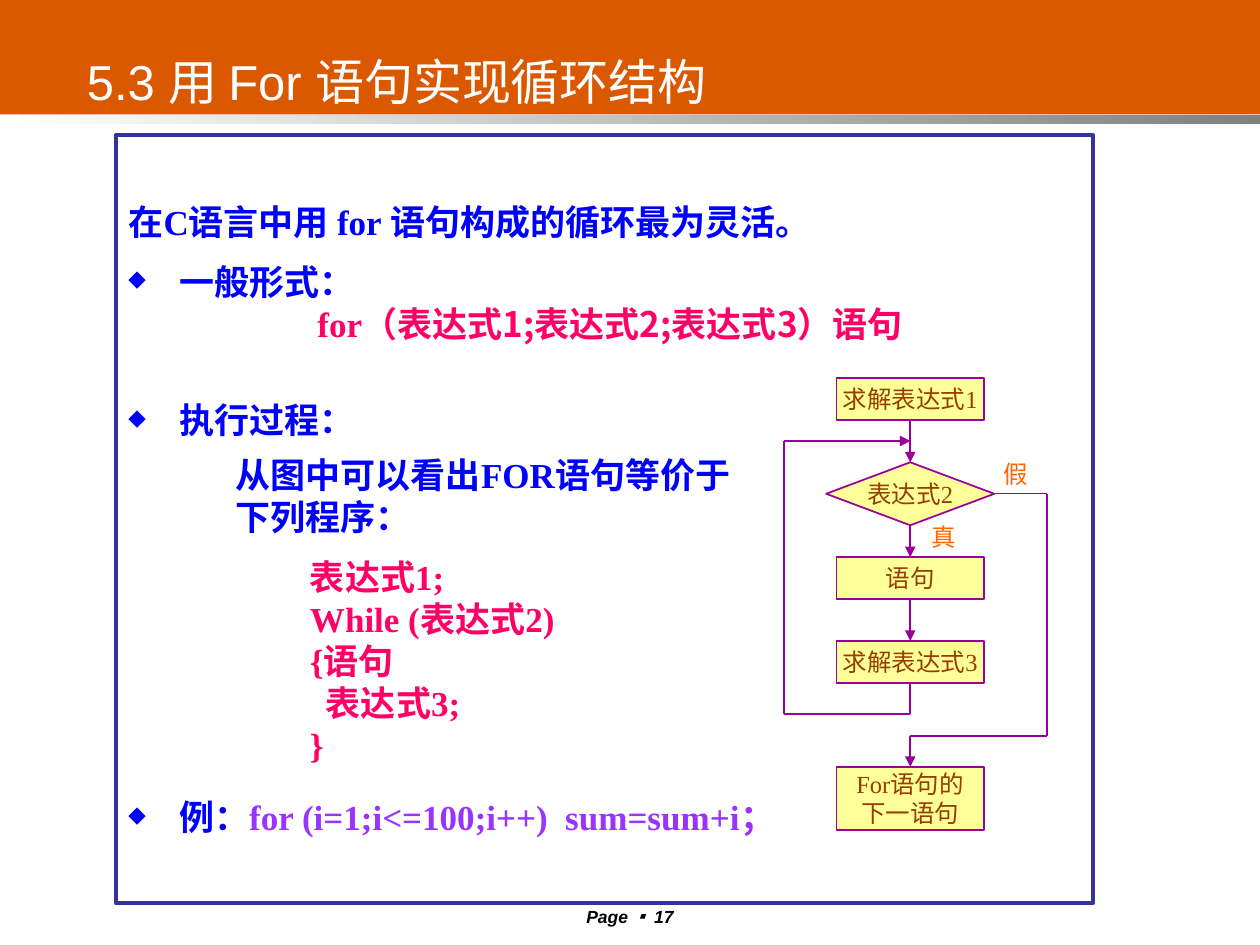
from dataclasses import dataclass
from itertools import pairwise

from lxml import etree
from pptx import Presentation
from pptx.dml.color import RGBColor
from pptx.enum.shapes import MSO_CONNECTOR, MSO_SHAPE
from pptx.enum.text import MSO_ANCHOR, MSO_AUTO_SIZE, PP_ALIGN
from pptx.oxml.ns import qn
from pptx.util import Cm, Pt

RECT, DECISION = MSO_SHAPE.RECTANGLE, MSO_SHAPE.FLOWCHART_DECISION
LEFT, CENTER = PP_ALIGN.LEFT, PP_ALIGN.CENTER
TOP, MIDDLE = MSO_ANCHOR.TOP, MSO_ANCHOR.MIDDLE
STRAIGHT = MSO_CONNECTOR.STRAIGHT


@dataclass(frozen=True)
class Theme:
    band: str = "DA5800"
    shade: str = "808080"
    white: str = "FFFFFF"
    black: str = "000000"
    frame: str = "333399"
    body: str = "0000FF"
    code: str = "FF0066"
    example: str = "9933FF"
    node: str = "FFFF99"
    flow: str = "990099"
    node_text: str = "963D00"
    branch: str = "FF6600"
    sans: str = "Arial"
    serif: str = "Times New Roman"
    cjk: str = "Noto Sans CJK SC"
    symbol: str = "Noto Sans CJK JP"
    title_size: float = 28
    body_size: float = 20
    flow_size: float = 14
    footer_size: float = 10


T = Theme()


@dataclass(frozen=True)
class Run:
    text: str
    color: str = T.body
    font: str = T.serif
    size: float = T.body_size
    bold: bool = True
    italic: bool = False


@dataclass(frozen=True)
class Para:
    runs: tuple[Run, ...]
    before: float = 0
    indent: float = 0
    bullet: bool = False
    align: PP_ALIGN = LEFT


@dataclass(frozen=True)
class Node:
    top: float
    lines: tuple[str, ...]
    height: float = 0.85
    width: float = 2.97
    shape: MSO_SHAPE = RECT


AXIS, LOOP_X, EXIT_X = 18.35, 15.8, 21.11
DECISION_Y, RETURN_Y, LOOP_Y, EXIT_Y = 9.95, 8.89, 14.4, 14.83

NODES = (
    Node(7.62, ("求解表达式1",)),
    Node(9.32, ("表达式2",), 1.27, 3.39, DECISION),
    Node(11.23, ("语句",)),
    Node(12.92, ("求解表达式3",)),
    Node(15.46, ("For语句的", "下一语句"), 1.27),
)
FLOWS = (
    ((AXIS, 8.47), (AXIS, 9.32)),
    ((AXIS, 10.59), (AXIS, 11.23)),
    ((AXIS, 12.08), (AXIS, 12.92)),
    ((20.05, DECISION_Y), (EXIT_X, DECISION_Y), (EXIT_X, EXIT_Y),
     (AXIS, EXIT_Y), (AXIS, 15.46)),
    ((AXIS, 13.77), (AXIS, LOOP_Y), (LOOP_X, LOOP_Y),
     (LOOP_X, RETURN_Y), (AXIS, RETURN_Y)),
)
BRANCHES = (("假", 19.99, 9.12), ("真", 18.52, 10.39))

SYNTAX = (
    Para((Run("在C语言中用 for 语句构成的循环最为灵活。"),)),
    Para((Run("一般形式："),), 10, 1.02, True),
    Para((Run("for", T.code), Run("（表达式1;表达式2;表达式3）语句", T.code, T.cjk)), 0, 3.81),
    Para((Run("执行过程："),), 31, 1.02, True),
    Para((Run("例："), Run("for (i=1;i<=100;i++)  sum=sum+i；", T.example)), 203, 1.02, True),
)
PROGRAM = ("表达式1;", "While (表达式2)", "{语句", "  表达式3;", "}")
EQUIVALENT = (
    Para((Run("从图中可以看出FOR语句等价于下列程序："),)),
    *(Para((Run(line, T.code),), 0 if i else 10, 1.5) for i, line in enumerate(PROGRAM)),
)
FOOTER = tuple(Run(text, T.black, font, T.footer_size, italic=True)
               for text, font in (("Page ", T.sans), ("▪ ", T.symbol), ("17", T.sans)))


def rgb(color: str) -> RGBColor:
    return RGBColor.from_string(color)


def add_bullet(p) -> None:
    ppr = p._p.get_or_add_pPr()
    ppr.set("indent", str(-ppr.marL_value if hasattr(ppr, "marL_value") else -Cm(1.02)))
    color = etree.SubElement(ppr, qn("a:buClr"))
    etree.SubElement(color, qn("a:srgbClr"), val=T.body)
    etree.SubElement(ppr, qn("a:buSzPct"), val="65000")
    etree.SubElement(ppr, qn("a:buChar"), char="◆")


def add_run(p, run: Run) -> None:
    r = p.add_run()
    r.text = run.text
    f = r.font
    f.name, f.size = run.font, Pt(run.size)
    f.bold, f.italic = run.bold, run.italic
    f.color.rgb = rgb(run.color)
    latin = r._r.rPr.find(qn("a:latin"))
    latin.addnext(etree.Element(qn("a:ea"), typeface=T.cjk))


def write(shape, paras, anchor=TOP, wrap=True, inset_top=0.13) -> None:
    tf = shape.text_frame
    tf.auto_size = MSO_AUTO_SIZE.NONE
    tf.word_wrap, tf.vertical_anchor = wrap, anchor
    tf.margin_left = tf.margin_right = Cm(0.25)
    tf.margin_top, tf.margin_bottom = Cm(inset_top), Cm(0.13)
    for i, para in enumerate(paras):
        p = tf.add_paragraph() if i else tf.paragraphs[0]
        p._p.get_or_add_pPr().set("marL", str(Cm(para.indent)))
        if para.bullet:
            add_bullet(p)
        p.alignment = para.align
        if para.before:
            p.space_before = Pt(para.before)
        for run in para.runs:
            add_run(p, run)


def add_box(s, left: float, top: float, width: float, height: float, fill: str,
            line: str | None = None, weight: float = 1, shape: MSO_SHAPE = RECT):
    sp = s.shapes.add_shape(shape, Cm(left), Cm(top), Cm(width), Cm(height))
    sp.shadow.inherit = False
    sp.fill.solid()
    sp.fill.fore_color.rgb = rgb(fill)
    if line:
        sp.line.color.rgb = rgb(line)
        sp.line.width = Pt(weight)
    else:
        sp.line.fill.background()
    return sp


def add_node(s, node: Node) -> None:
    sp = add_box(s, AXIS - node.width / 2, node.top, node.width, node.height,
                 T.node, T.flow, shape=node.shape)
    paras = [Para((Run(line, T.node_text, size=T.flow_size, bold=False),), align=CENTER)
             for line in node.lines]
    write(sp, paras, MIDDLE, wrap=False)


def add_flow(s, points) -> None:
    """Join the points with straight lines; the last one carries the arrowhead."""
    for start, end in pairwise(points):
        line = s.shapes.add_connector(STRAIGHT, *map(Cm, start), *map(Cm, end))
        line.line.color.rgb = rgb(T.flow)
        line.line.width = Pt(1)
        etree.SubElement(line._element.spPr, qn("a:effectLst"))
    etree.SubElement(line.line._get_or_add_ln(), qn("a:tailEnd"), type="triangle")


def add_label(s, left: float, top: float, width: float, height: float, para: Para,
              wrap: bool = False) -> None:
    box = s.shapes.add_textbox(Cm(left), Cm(top), Cm(width), Cm(height))
    write(box, [para], wrap=wrap)


def add_header(s) -> None:
    add_box(s, 0, 0, 25.5, 2.31, T.band)
    strip = add_box(s, 0, 2.31, 25.5, 0.2, T.shade)
    strip.fill.gradient()
    strip.fill.gradient_angle = 180
    for stop, color in zip(strip.fill.gradient_stops, (T.shade, T.white)):
        stop.color.rgb = rgb(color)
    title = s.shapes.title
    title.left, title.top, title.width, title.height = map(Cm, (1.5, 0.91, 16.41, 1.45))
    write(title, [Para((Run("5.3 用 For 语句实现循环结构", T.white, T.sans, T.title_size, False),))])
    title._element.getparent().append(title._element)


def main() -> None:
    prs = Presentation()
    prs.slide_width, prs.slide_height = Cm(25.4), Cm(19.05)
    s = prs.slides.add_slide(prs.slide_layouts[5])
    add_header(s)
    add_label(s, 10.7, 18.14, 4, 0.56, Para(FOOTER, align=CENTER), wrap=True)
    write(add_box(s, 2.34, 2.72, 19.69, 15.49, T.white, T.frame, 2.25), SYNTAX, inset_top=1.33)
    write(add_box(s, 4.5, 9.02, 10.82, 6.55, T.white), EQUIVALENT)
    for node in NODES:
        add_node(s, node)
    for points in FLOWS:
        add_flow(s, points)
    for text, left, top in BRANCHES:
        add_label(s, left, top, 0.99, 0.86,
                  Para((Run(text, T.branch, size=T.flow_size, bold=False),)))
    prs.save("out.pptx")


if __name__ == "__main__":
    main()
